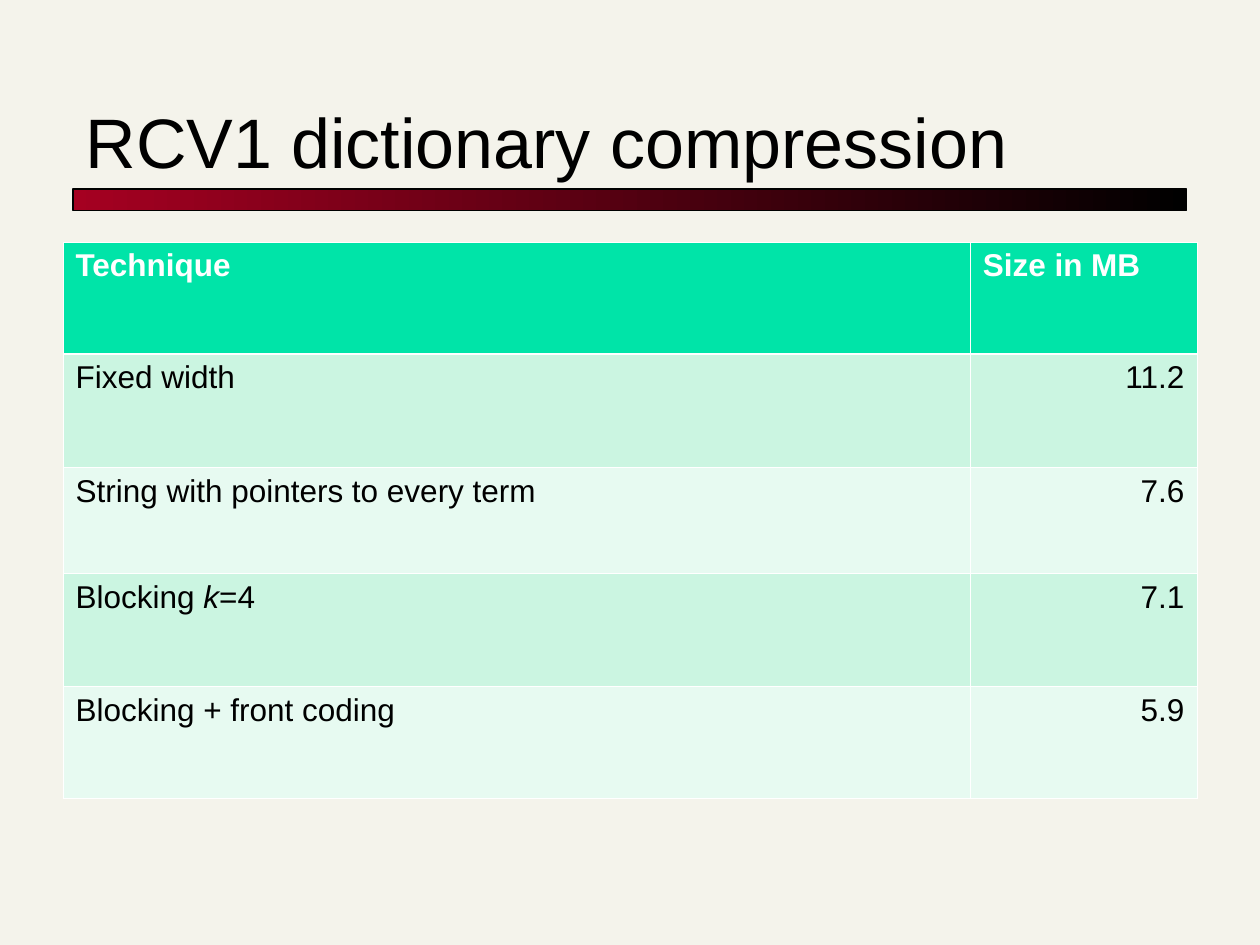
import dataclasses

import lxml.etree
import pptx
import pptx.dml.color
import pptx.enum.shapes
import pptx.enum.text
import pptx.oxml.ns
import pptx.util

Inches = pptx.util.Inches
Pt = pptx.util.Pt
PP_ALIGN = pptx.enum.text.PP_ALIGN
qn = pptx.oxml.ns.qn

FONT = "Arial"
BLACK, WHITE = "000000", "FFFFFF"
HEADER_FILL = "00E4A8"
BAND_FILLS = ("CBF5E1", "E7FAF1")
THIN, THICK = 0.45, 1.47


@dataclasses.dataclass
class Row:
    technique: str  # parts between asterisks are italic
    size: str
    height: float


ROWS = [
    Row("Technique", "Size in MB", 0.89),
    Row("Fixed width", "11.2", 0.9),
    Row("String with pointers to every term", "7.6", 0.84),
    Row("Blocking *k*=4", "7.1", 0.9),
    Row("Blocking + front coding", "5.9", 0.89),
]


def rgb(color: str) -> pptx.dml.color.RGBColor:
    return pptx.dml.color.RGBColor.from_string(color)


def set_font(p, size: float, color: str, bold: bool = False) -> None:
    p.font.name = FONT
    p.font.size = Pt(size)
    p.font.bold = bold
    p.font.color.rgb = rgb(color)


def set_borders(cell, top: float, bottom: float) -> None:
    """Draw white borders; the line elements come before the cell fill."""
    tc_pr = cell._tc.get_or_add_tcPr()
    widths = {"a:lnL": THIN, "a:lnR": THIN, "a:lnT": top, "a:lnB": bottom}
    for i, (tag, width) in enumerate(widths.items()):
        ln = lxml.etree.Element(qn(tag), w=str(int(Pt(width))))
        fill = lxml.etree.SubElement(ln, qn("a:solidFill"))
        lxml.etree.SubElement(fill, qn("a:srgbClr"), val=WHITE)
        tc_pr.insert(i, ln)


def fill_cell(cell, text: str, row: int, align) -> None:
    header = row == 0
    cell.fill.solid()
    cell.fill.fore_color.rgb = rgb(HEADER_FILL if header else BAND_FILLS[(row - 1) % 2])
    set_borders(cell, THICK if row == 1 else THIN, THICK if header else THIN)
    p = cell.text_frame.paragraphs[0]
    p.alignment = align
    set_font(p, 18, WHITE if header else BLACK, header)
    for i, part in enumerate(text.split("*")):
        r = p.add_run()
        r.text = part
        if i % 2:
            r.font.italic = True


def add_title(s, text: str) -> None:
    sp = s.shapes.title
    sp.left, sp.top, sp.width, sp.height = map(Inches, (0.58, 0.42, 8.83, 1.08))
    tf = sp.text_frame
    tf.text = text
    tf.vertical_anchor = pptx.enum.text.MSO_ANCHOR.BOTTOM
    tf.auto_size = pptx.enum.text.MSO_AUTO_SIZE.NONE
    p = tf.paragraphs[0]
    p.alignment = PP_ALIGN.LEFT
    set_font(p, 40, BLACK)


def add_bar(s) -> None:
    sp = s.shapes.add_shape(pptx.enum.shapes.MSO_SHAPE.RECTANGLE,
                            Inches(0.58), Inches(1.5), Inches(8.84), Inches(0.17))
    sp.shadow.inherit = False
    sp.fill.gradient()
    sp.fill.gradient_angle = 0
    for stop, color in zip(sp.fill.gradient_stops, ("A50021", BLACK)):
        stop.color.rgb = rgb(color)
    sp.line.color.rgb = rgb(BLACK)
    sp.line.width = Pt(0.75)


def add_size_table(s, rows: list[Row]) -> None:
    height = sum(row.height for row in rows)
    table = s.shapes.add_table(len(rows), 2, Inches(0.5), Inches(1.92),
                               Inches(9), Inches(height)).table
    table.columns[0].width = Inches(7.2)
    table.columns[1].width = Inches(1.8)
    for i, row in enumerate(rows):
        table.rows[i].height = Inches(row.height)
        fill_cell(table.cell(i, 0), row.technique, i, PP_ALIGN.LEFT)
        fill_cell(table.cell(i, 1), row.size, i, PP_ALIGN.RIGHT if i else PP_ALIGN.LEFT)


def main() -> None:
    prs = pptx.Presentation()
    prs.slide_width, prs.slide_height = Inches(10), Inches(7.5)
    s = prs.slides.add_slide(prs.slide_layouts[5])

    # Background
    s.background.fill.solid()
    s.background.fill.fore_color.rgb = rgb("F4F3EB")

    # Title with the bar below it
    add_title(s, "RCV1 dictionary compression")
    add_bar(s)

    # Dictionary sizes
    add_size_table(s, ROWS)

    prs.save("out.pptx")


if __name__ == "__main__":
    main()
